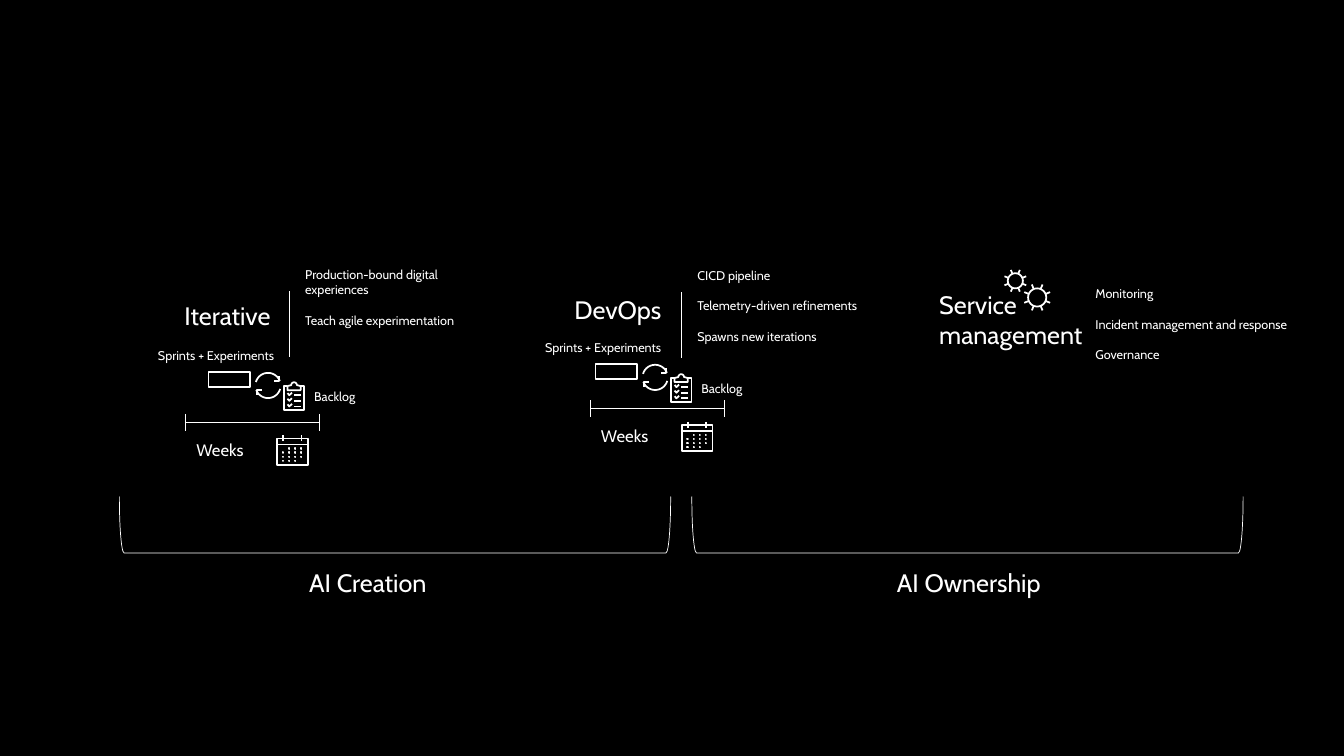
from dataclasses import dataclass
from math import cos, radians, sin

from pptx import Presentation
from pptx.dml.color import RGBColor
from pptx.enum.shapes import MSO_CONNECTOR, MSO_SHAPE
from pptx.enum.text import MSO_AUTO_SIZE
from pptx.oxml.xmlchemy import OxmlElement
from pptx.shapes.autoshape import Shape
from pptx.shapes.shapetree import GroupShapes
from pptx.util import Pt

BLACK = RGBColor(0x00, 0x00, 0x00)
WHITE = RGBColor(0xFF, 0xFF, 0xFF)
FONT = "Cabin"
THIN, EDGE, ICON = 0.5, 1, 1.25
HEAD, MID, SMALL = 18, 12, 9
GAP = 10.9

Point = tuple[float, float]
Stroke = list[Point]


@dataclass
class Phase:
    title: str
    head: Point
    rule: Point
    sprint: Point
    span: Point
    notes: list[str]
    width: float


@dataclass
class Stage:
    title: str
    left: float
    label: Point
    width: float


@dataclass
class Gear:
    mid: Point
    rad: float
    tip: float


PHASES = [
    Phase("Iterative", (124.6, 211), (206.6, 208.1), (105.8, 244.8), (132.5, 301.7),
          ["Production-bound digital experiences", "Teach agile experimentation"], 131.8),
    Phase("DevOps", (403.2, 206.6), (486.7, 208.8), (382.3, 239), (421.5, 292),
          ["CICD pipeline", "Telemetry-driven refinements", "Spawns new iterations"], 150.5),
]
STAGES = [
    Stage("AI Creation", 85.3, (213.8, 401.8), 147.6),
    Stage("AI Ownership", 494.2, (633.6, 401.8), 175),
]
GEARS = [Gear((7.9, 7.6), 5.4, 8.4), Gear((23.5, 19.5), 6.5, 10)]


def arc(mid: Point, rad: float, start: float, end: float) -> Stroke:
    steps = 24
    turns = [radians(start + (end - start) * i / steps) for i in range(steps + 1)]
    return [(mid[0] + rad * cos(a), mid[1] + rad * sin(a)) for a in turns]


def box(x: float, y: float, w: float, h: float) -> Stroke:
    return [(x, y), (x + w, y), (x + w, y + h), (x, y + h), (x, y)]


def outline(shape: Shape, weight: float) -> None:
    shape.shadow.inherit = False
    shape.fill.background()
    shape.line.color.rgb = WHITE
    shape.line.width = Pt(weight)


def icon(tree: GroupShapes, at: Point, strokes: list[Stroke]) -> None:
    """Draw all strokes, given relative to at, as one open outline."""
    paths = [[(Pt(x), Pt(y)) for x, y in stroke] for stroke in strokes]
    pen = tree.build_freeform(*paths[0][0], scale=1.0)
    pen.add_line_segments(paths[0][1:], close=False)
    for path in paths[1:]:
        pen.move_to(*path[0])
        pen.add_line_segments(path[1:], close=False)
    outline(pen.convert_to_shape(Pt(at[0]), Pt(at[1])), ICON)


def line(tree: GroupShapes, start: Point, end: Point) -> None:
    ends = [Pt(v) for v in (*start, *end)]
    link = tree.add_connector(MSO_CONNECTOR.STRAIGHT, *ends)
    link.line.color.rgb = WHITE
    link.line.width = Pt(THIN)
    link._element.spPr.append(OxmlElement("a:effectLst"))


def text(tree: GroupShapes, at: Point, width: float, height: float,
         size: float, *items: str) -> None:
    frame = tree.add_textbox(Pt(at[0]), Pt(at[1]), Pt(width), Pt(height)).text_frame
    frame.word_wrap = True
    frame.auto_size = MSO_AUTO_SIZE.SHAPE_TO_FIT_TEXT
    for i, item in enumerate(items):
        para = frame.add_paragraph() if i else frame.paragraphs[0]
        if i:
            para.space_before = Pt(GAP)
        run = para.add_run()
        run.text = item
        run.font.name = FONT
        run.font.size = Pt(size)
        run.font.color.rgb = WHITE


def days() -> list[Stroke]:
    """Strokes of the calendar."""
    posts = [[(x, 0), (x, 4.3)] for x in (4.4, 17.4)]
    dots = [box(4 + 4.35 * col, 9.2 + 2.95 * row, 0.4, 0.4)
            for row in range(4) for col in range(4)
            if (row, col) not in ((0, 0), (3, 3))]
    return [box(0, 2.2, 22, 18.7), [(0, 6.5), (22, 6.5)], *posts, *dots]


def clip() -> list[Stroke]:
    """Strokes of the clipboard."""
    grip = [(2.4, 2.9), *arc((7.1, 2.2), 2, 180, 360), (11.8, 2.9),
            (11.8, 5.8), (2.4, 5.8), (2.4, 2.9)]
    body = [(2.4, 2.9), (0, 2.9), (0, 20), (14.4, 20), (14.4, 2.9), (11.8, 2.9)]
    rows = (9.4, 13.4, 17.4)
    bars = [[(7.2, y), (12.2, y)] for y in rows]
    ticks = [[(2.4, y - 1.5), (3.7, y), (5.6, y - 1.8)] for y in rows]
    return [grip, body, *bars, *ticks]


def loop() -> list[Stroke]:
    """Strokes of the two turning arrows, around their middle."""
    half = [arc((0, 0), 9, -21, -164), [(4.3, -3.2), (8, -3.2), (8, -6.8)]]
    return half + [[(-x, -y) for x, y in stroke] for stroke in half]


def cogs() -> list[Stroke]:
    """Strokes of the two gears."""
    strokes = []
    for gear in GEARS:
        x, y = gear.mid
        strokes.append(arc(gear.mid, gear.rad, 0, 360))
        for i in range(8):
            a = radians(22.5 + 45 * i)
            strokes.append([(x + r * cos(a), y + r * sin(a)) for r in (gear.rad, gear.tip)])
    return strokes


def phase(tree: GroupShapes, item: Phase) -> None:
    text(tree, item.head, 147.6, 28.8, HEAD, item.title)
    x, y = item.rule
    line(tree, (x, y), (x, y + 47))
    text(tree, (x + 4.3, y - 21), item.width, 51, SMALL, *item.notes)

    x, y = item.sprint
    text(tree, (x, y), 100.8, 18, SMALL, "Sprints + Experiments")
    bar = tree.add_shape(MSO_SHAPE.RECTANGLE, Pt(x + 43.2), Pt(y + 20.9), Pt(29.5), Pt(10.8))
    outline(bar, EDGE)
    icon(tree, (x + 85.7, y + 30.6), loop())
    icon(tree, (x + 97.2, y + 28.1), clip())
    text(tree, (x + 111.6, y + 29.5), 100.8, 18, SMALL, "Backlog")

    x, y = item.span
    end = x + 95.8
    line(tree, (x, y), (end, y))
    for side in (x, end):
        line(tree, (side, y - 6), (side, y + 6))
    text(tree, (x + 0.7, y + 8.6), 64.8, 21.6, MID, "Weeks")
    icon(tree, (x + 65.5, y + 9.3), days())


def stage(tree: GroupShapes, item: Stage) -> None:
    wide, deep = 393.8, 40.3
    left, top = item.left + (wide - deep) / 2, 374.8 - wide / 2
    brace = tree.add_shape(MSO_SHAPE.LEFT_BRACKET, Pt(left), Pt(top), Pt(deep), Pt(wide))
    brace.rotation = 270
    outline(brace, THIN)
    text(tree, item.label, item.width, 28.8, HEAD, item.title)


def main() -> None:
    deck = Presentation()
    deck.slide_width, deck.slide_height = Pt(960), Pt(540)
    slide = deck.slides.add_slide(deck.slide_layouts[6])
    slide.background.fill.solid()
    slide.background.fill.fore_color.rgb = BLACK

    for item in PHASES:
        phase(slide.shapes.add_group_shape().shapes, item)

    care = slide.shapes.add_group_shape().shapes
    text(care, (663.8, 203), 147.6, 51, HEAD, "Service management")
    text(care, (775.4, 200.9), 156.2, 62, SMALL,
         "Monitoring", "Incident management and response", "Governance")
    icon(care, (717.4, 193), cogs())

    base = slide.shapes.add_group_shape().shapes
    for item in STAGES:
        stage(base, item)
    deck.save("out.pptx")


if __name__ == "__main__":
    main()
